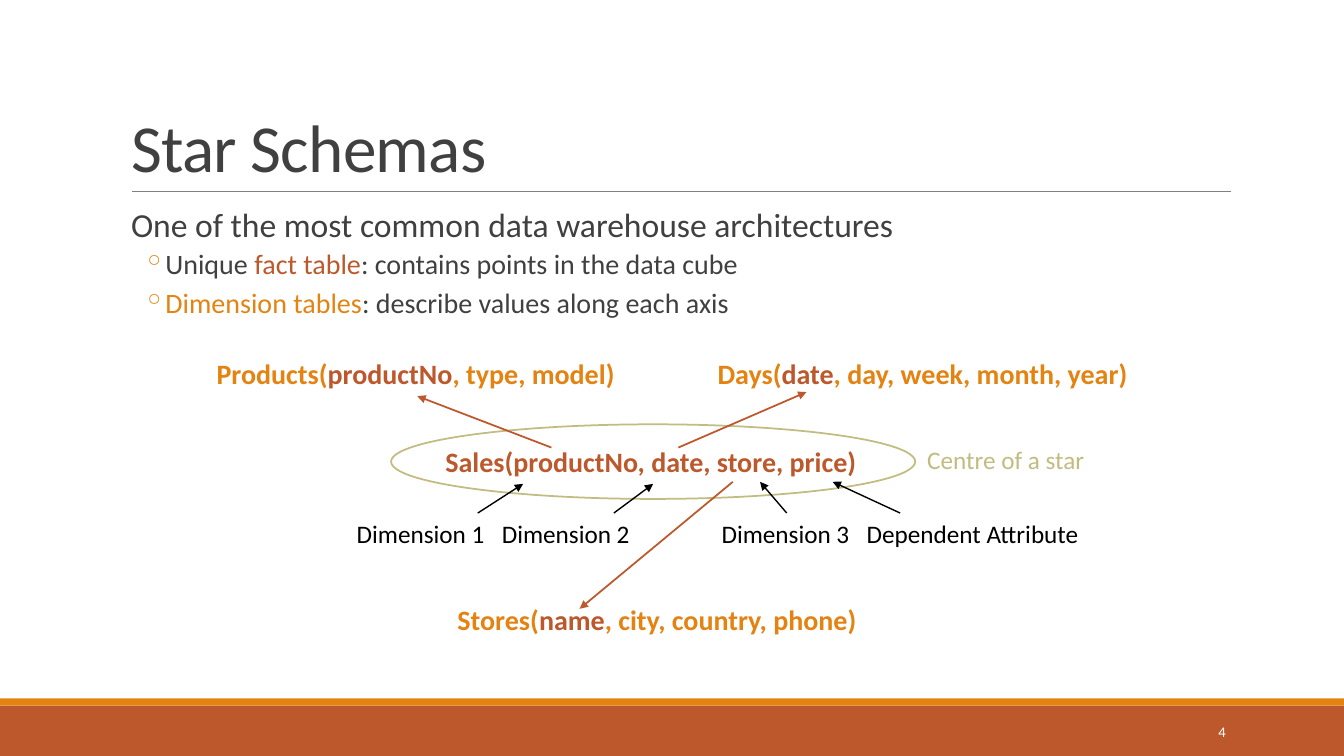
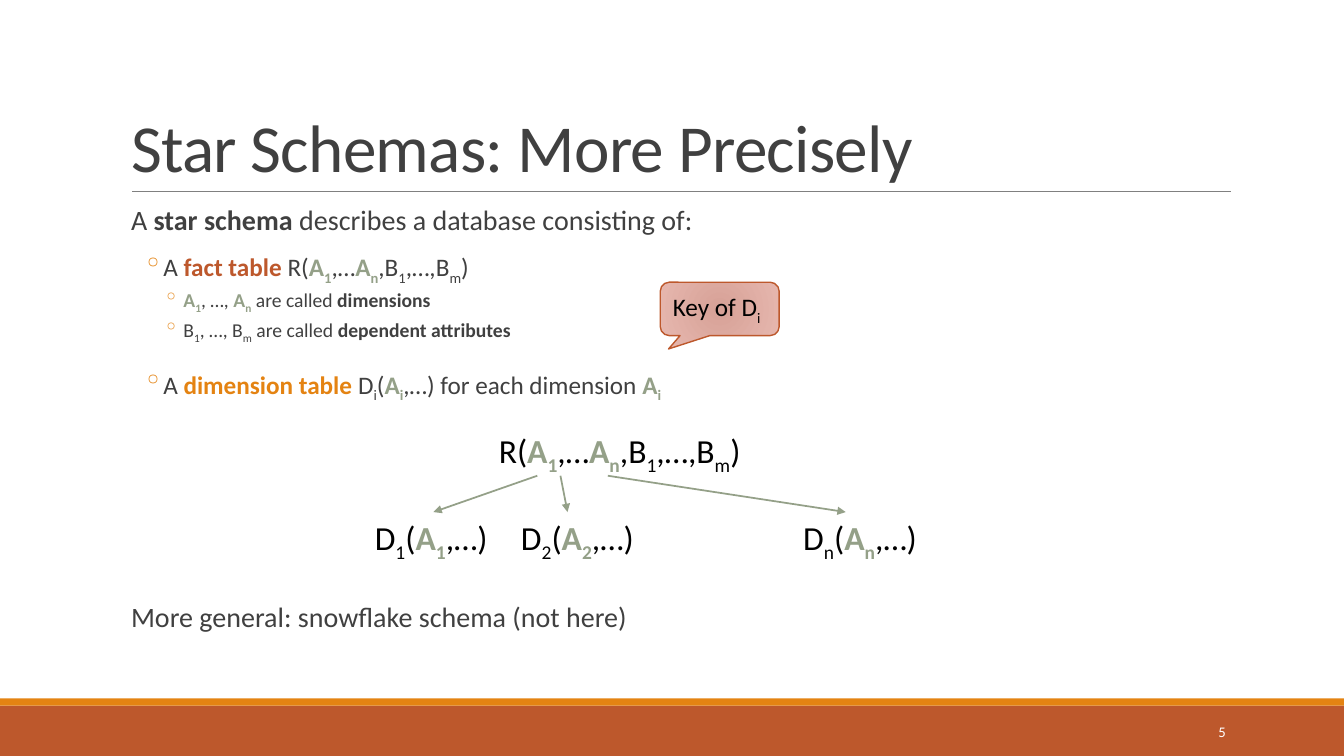
from collections import namedtuple

from lxml.etree import SubElement
from pptx import Presentation
from pptx.dml.color import RGBColor
from pptx.enum.shapes import MSO_CONNECTOR, MSO_SHAPE
from pptx.enum.text import MSO_ANCHOR, MSO_AUTO_SIZE, PP_ALIGN
from pptx.oxml.ns import qn
from pptx.util import Inches, Pt

FONT = "Calibri"
RUST = RGBColor(0xBD, 0x58, 0x2C)
ORANGE = RGBColor(0xE4, 0x83, 0x12)
SAGE = RGBColor(0x94, 0xA0, 0x88)
KHAKI = RGBColor(0xC2, 0xBC, 0x80)
CHARCOAL = RGBColor(0x40, 0x40, 0x40)
GRAY = RGBColor(0x80, 0x80, 0x80)
BLACK = RGBColor(0, 0, 0)
WHITE = RGBColor(0xFF, 0xFF, 0xFF)
CALLOUT_INNER = RGBColor(0xD7, 0xA1, 0x97)
CALLOUT_OUTER = RGBColor(0xE6, 0xB7, 0xAE)

CELL = Inches(0.1)
COLUMNS, ROWS = 133.33, 75

Box = namedtuple("Box", "left top width height")
Span = namedtuple("Span", "text color bold sub", defaults=(None, False, False))
Item = namedtuple("Item", "spans size level before after", defaults=(0, 0, 2))

TITLE = Box(12, 3.1, 110, 15.9)
BODY = Box(12, 20.2, 110, 44)
PAGE_NUMBER = Box(108.3, 70.6, 14.3, 4)
INDENTS = (1, 4.2, 6.2)
HANGING = 2


def grid(*cells):
    """Turn grid cells into slide lengths."""
    return [int(cell * CELL) for cell in cells]


def inside(box, left, top, width, height):
    """Return a box whose corner is counted from the corner of another box."""
    return Box(box.left + left, box.top + top, width, height)


def write(para, spans, size, color):
    """Fill a paragraph with spans, each falling back on the given colour."""
    for span in spans:
        run = para.add_run()
        run.text = span.text
        run.font.name = FONT
        run.font.size = Pt(size)
        run.font.bold = span.bold
        run.font.color.rgb = span.color or color
        if span.sub:
            run._r.get_or_add_rPr().set("baseline", "-25000")


def add_label(page, box, spans, size, color=BLACK):
    """Add a one-line text box that fits its text."""
    label = page.shapes.add_textbox(*grid(*box))
    frame = label.text_frame
    frame.word_wrap = False
    frame.auto_size = MSO_AUTO_SIZE.SHAPE_TO_FIT_TEXT
    write(frame.paragraphs[0], spans, size, color)
    return label


def add_line(page, box, start, end, color, width, arrow=True):
    """Draw a straight line between two points counted from the box's corner."""
    points = [box.left + start[0], box.top + start[1],
              box.left + end[0], box.top + end[1]]
    line = page.shapes.add_connector(MSO_CONNECTOR.STRAIGHT, *grid(*points))
    line.line.color.rgb = color
    line.line.width = Pt(width)
    if arrow:
        SubElement(line.line._get_or_add_ln(), qn("a:tailEnd"), type="triangle")
    SubElement(line._element.spPr, qn("a:effectLst"))
    return line


def add_band(page, top, height, color):
    """Draw a coloured band across the slide."""
    band = page.shapes.add_shape(
        MSO_SHAPE.RECTANGLE, *grid(0, top, COLUMNS, height))
    band.shadow.inherit = False
    band.fill.solid()
    band.fill.fore_color.rgb = color
    band.line.fill.background()


def add_page(deck, title, number):
    """Add a slide with the shared bands, rule, title and number."""
    page = deck.slides.add_slide(deck.slide_layouts[5])
    add_band(page, 70, ROWS - 70, RUST)
    add_band(page, 69.3, 0.7, ORANGE)
    add_line(page, TITLE, (1.1, 15.9), (110.1, 15.9), GRAY, 0.5, arrow=False)

    holder = page.shapes.title
    holder.left, holder.top, holder.width, holder.height = grid(*TITLE)
    frame = holder.text_frame
    frame.auto_size = MSO_AUTO_SIZE.NONE
    frame.vertical_anchor = MSO_ANCHOR.BOTTOM
    para = frame.paragraphs[0]
    para.alignment = PP_ALIGN.LEFT
    para.line_spacing = 0.85
    write(para, [Span(title)], 48, CHARCOAL)
    para.runs[0]._r.get_or_add_rPr().set("spc", "-50")

    footer = page.shapes.add_textbox(*grid(*PAGE_NUMBER)).text_frame
    footer.word_wrap = True
    footer.vertical_anchor = MSO_ANCHOR.MIDDLE
    footer.paragraphs[0].alignment = PP_ALIGN.RIGHT
    write(footer.paragraphs[0], [Span(str(number))], 10.5, WHITE)
    return page


def add_body(page, box, items, spacing):
    """Write the outline, with ring bullets below the first level."""
    frame = page.shapes.add_textbox(*grid(*box)).text_frame
    frame.word_wrap = True
    frame.margin_left = frame.margin_right = 0
    for index, item in enumerate(items):
        para = frame.add_paragraph() if index else frame.paragraphs[0]
        para.level = item.level
        para.line_spacing = spacing
        para.space_before = Pt(item.before)
        para.space_after = Pt(item.after)
        props = para._p.get_or_add_pPr()
        margin, hanging = grid(INDENTS[item.level], HANGING)
        props.set("marL", str(margin))
        props.set("indent", str(-hanging if item.level else 0))
        if item.level:
            bullet_color = SubElement(props, qn("a:buClr"))
            SubElement(bullet_color, qn("a:srgbClr"), val=str(ORANGE))
            SubElement(props, qn("a:buChar"), char="◦")
        write(para, item.spans, item.size, CHARCOAL)


def relation(name, key, rest):
    """Return the spans of a dimension table with its key picked out."""
    return [Span(name + "(", ORANGE, True), Span(key, RUST, True),
            Span(rest + ")", ORANGE, True)]


def indexed(letter, index, color=None, bold=False):
    """Return a letter with its subscript."""
    return [Span(letter, color, bold), Span(index, color, bold, True)]


def key(index):
    """Return a dimension attribute with its subscript."""
    return indexed("A", index, SAGE, True)


def fact_table():
    """Return the spans of the general fact table."""
    return [Span("R("), *key("1"), Span(",…"), *key("n"), Span(","),
            *indexed("B", "1"), Span(",…,"), *indexed("B", "m"), Span(")")]


def dimension_table(index):
    """Return the spans of a general dimension table."""
    return [*indexed("D", index), Span("("), *key(index), Span(",…)")]


def draw_star(page, box):
    """Draw the sales fact table amid its dimension tables."""
    add_label(page, inside(box, 22.7, 8.7, 43.1, 4.4),
              [Span("Sales(productNo, date, store, price)", bold=True)], 20, RUST)
    columns = {"Dimension 1": (13.9, 14.9), "Dimension 2": (28.3, 14.9),
               "Dimension 3": (50.1, 14.9), "Dependent Attribute": (64.5, 23.3)}
    captions = {
        text: add_label(page, inside(box, left, 16, width, 4), [Span(text)], 18)
        for text, (left, width) in columns.items()}
    products = add_label(page, inside(box, 0, 0, 41.8, 4.4),
                         relation("Products", "productNo", ", type, model"), 20)
    add_label(page, inside(box, 23.9, 24.4, 41.9, 4.4),
              relation("Stores", "name", ", city, country, phone"), 20)
    add_label(page, inside(box, 49.7, 0, 43, 4.4),
              relation("Days", "date", ", day, week, month, year"), 20)

    centre = page.shapes.add_shape(
        MSO_SHAPE.OVAL, *grid(*inside(box, 18.3, 7.2, 52, 7.4)))
    centre.shadow.inherit = False
    centre.fill.background()
    centre.line.color.rgb = KHAKI
    centre.line.width = Pt(1.25)
    add_label(page, inside(box, 70.5, 8.7, 17.8, 4),
              [Span("Centre of a star")], 18, KHAKI)

    pointers = {"Dimension 1": (26.9, 31.4, 13.1), "Dimension 2": (40.4, 44.3, 13.1),
                "Dimension 3": (57.5, 54.9, 12.9),
                "Dependent Attribute": (68.8, 62.1, 12.9)}
    for text, (start, end, tip) in pointers.items():
        pointer = add_line(page, box, (start, 16), (end, tip), BLACK, 1)
        if text == "Dimension 3":
            pointer.begin_connect(captions[text], 0)

    to_products = add_line(page, box, (34.2, 9.5), (20.9, 4.4), RUST, 1.25)
    to_products.end_connect(products, 2)
    add_line(page, box, (46.8, 9.5), (59.5, 4), RUST, 1.25)
    add_line(page, box, (52.2, 12.9), (37, 25.5), RUST, 1.25)


def draw_general_schema(page, box):
    """Draw the general fact table pointing to its dimension tables."""
    add_label(page, inside(box, 12.3, 0, 26.9, 5), fact_table(), 24)
    branches = (("1", 0, 17.1, 6.8), ("2", 14.5, 19.4, 20.1),
                ("n", 42.5, 24.1, 47.7))
    for index, left, start, end in branches:
        table = add_label(page, inside(box, left, 8.6, 13.6, 5),
                          dimension_table(index), 24)
        arrow = add_line(page, box, (start, 5), (end, 8.6), SAGE, 1.25)
        if index == "1":
            arrow.end_connect(table, 0)


def draw_key_callout(page, box):
    """Draw the callout that names the key."""
    callout = page.shapes.add_shape(
        MSO_SHAPE.ROUNDED_RECTANGULAR_CALLOUT, *grid(*box))
    callout.shadow.inherit = False
    for index, value in enumerate((-0.43, 0.75, 0.17)):
        callout.adjustments[index] = value
    callout.fill.gradient()
    for stop, color in zip(callout.fill.gradient_stops,
                           (CALLOUT_INNER, CALLOUT_OUTER)):
        stop.color.rgb = color
    gradient = callout._element.spPr.find(qn("a:gradFill"))
    gradient.remove(gradient.find(qn("a:lin")))
    circle = SubElement(gradient, qn("a:path"), path="circle")
    SubElement(circle, qn("a:fillToRect"), dict.fromkeys("ltrb", "50000"))
    callout.line.color.rgb = RUST
    callout.line.width = Pt(1)
    frame = callout.text_frame
    frame.word_wrap = False
    frame.vertical_anchor = MSO_ANCHOR.MIDDLE
    frame.paragraphs[0].alignment = PP_ALIGN.LEFT
    write(frame.paragraphs[0], [Span("Key of "), *indexed("D", "i")], 18, BLACK)


def build_star_page(deck):
    """Build the slide that introduces star schemas."""
    page = add_page(deck, "Star Schemas", 4)
    add_body(page, BODY, [
        Item([Span("One of the most common data warehouse architectures")], 24),
        Item([Span("Unique "), Span("fact table", RUST),
              Span(": contains points in the data cube")], 20, 1, 2, 4),
        Item([Span("Dimension tables", ORANGE),
              Span(": describe values along each axis")], 20, 1, 2, 4),
    ], 0.9)
    draw_star(page, Box(20.5, 34.9, 92.7, 28.8))


def build_precise_page(deck):
    """Build the slide that defines star schemas."""
    page = add_page(deck, "Star Schemas: More Precisely", 5)
    add_body(page, BODY, [
        Item([Span("A "), Span("star schema ", bold=True),
              Span("describes a database consisting of:")], 20),
        Item([Span("A "), Span("fact table ", RUST, True), *fact_table()],
             18, 1, 11.8, 4),
        Item([*key("1"), Span(", …, "), *key("n"), Span(" are called "),
              Span("dimensions", bold=True)], 14, 2, 2, 4),
        Item([*indexed("B", "1"), Span(", …, "), *indexed("B", "m"),
              Span(" are called "), Span("dependent attributes", bold=True)],
             14, 2, 2, 4),
        Item([Span("A "), Span("dimension table ", ORANGE, True),
              *dimension_table("i"), Span(" for each dimension "), *key("i")],
             18, 1, 17.8, 4),
        Item([Span("More general: snowflake schema (not here)")], 20, 0, 143),
    ], 0.8)
    draw_general_schema(page, Box(36.2, 42.2, 56.1, 13.6))
    draw_key_callout(page, Box(65.5, 28, 11.8, 5.3))


def main():
    """Build and save the deck."""
    deck = Presentation()
    deck.slide_width, deck.slide_height = grid(COLUMNS, ROWS)
    build_star_page(deck)
    build_precise_page(deck)
    deck.save("out.pptx")


if __name__ == "__main__":
    main()
